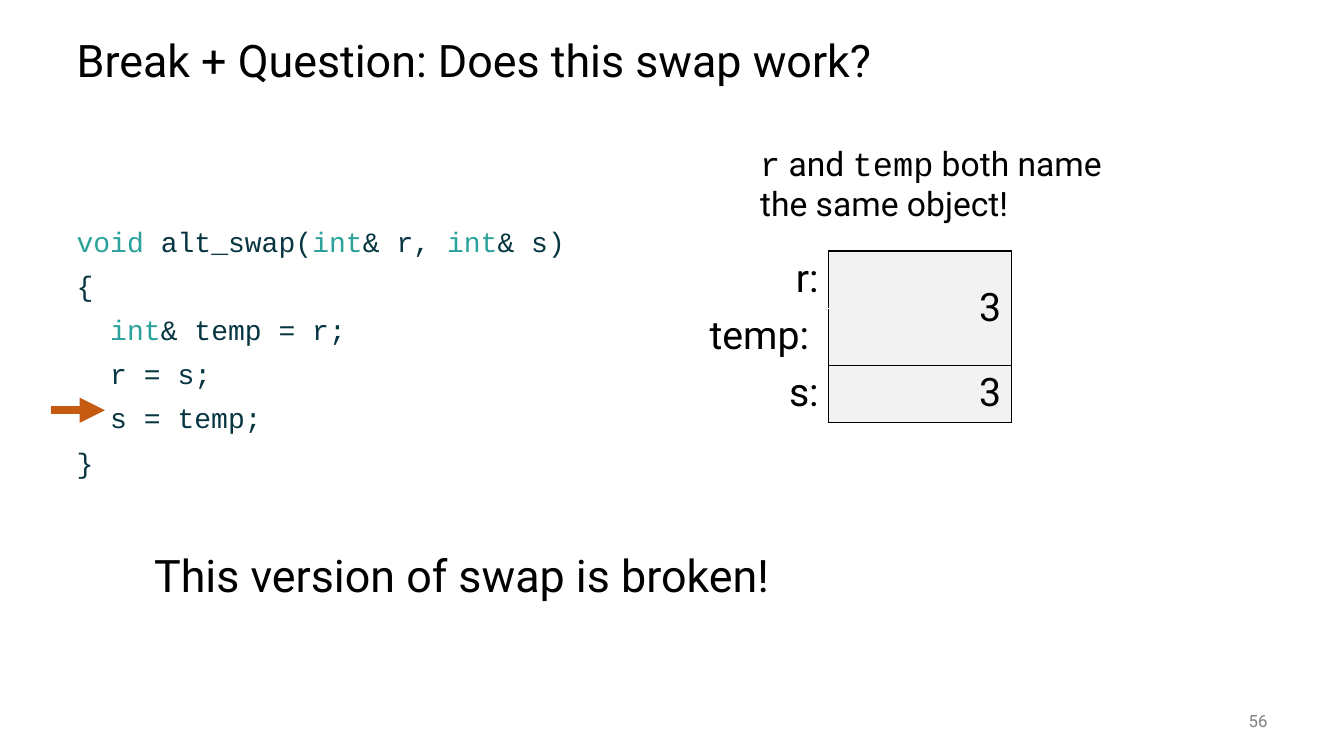
from lxml.etree import SubElement
from pptx import Presentation
from pptx.dml.color import RGBColor
from pptx.enum.shapes import MSO_CONNECTOR
from pptx.enum.text import MSO_ANCHOR, MSO_AUTO_SIZE, PP_ALIGN
from pptx.oxml.ns import qn
from pptx.util import Inches, Pt

COLORS = {
    "text": "000000",
    "keyword": "2AA299",
    "code": "073642",
    "cell": "F2F2F2",
    "arrow": "C55A11",
    "number": "808080",
}
SANS, MONO = "Roboto", "Courier New"

# Each code line is a list of (text, colour) runs
CODE = [
    [("void ", "keyword"), ("alt_swap(", "code"), ("int", "keyword"),
     ("& r, ", "code"), ("int", "keyword"), ("& s)", "code")],
    [("{", "code")],
    [("  int", "keyword"), ("& temp = r;", "code")],
    [("  r = s;", "code")],
    [("  s = temp;", "code")],
    [("}", "code")],
]


def add_run(paragraph, text, size, color="text", font=SANS):
    run = paragraph.add_run()
    run.text = text
    run.font.size = Pt(size)
    run.font.name = font
    run.font.color.rgb = RGBColor.from_string(COLORS[color])


def place(shape, left, top, width, height):
    shape.left, shape.top = Inches(left), Inches(top)
    shape.width, shape.height = Inches(width), Inches(height)


def add_title(slide, text, box):
    title = slide.shapes.title
    place(title, *box)
    title.text_frame.auto_size = MSO_AUTO_SIZE.NONE
    title.text_frame.vertical_anchor = MSO_ANCHOR.MIDDLE
    paragraph = title.text_frame.paragraphs[0]
    paragraph.alignment = PP_ALIGN.LEFT
    paragraph.line_spacing = 0.9
    add_run(paragraph, text, 32)


def add_code(slide, lines, box):
    body = slide.placeholders[1]
    place(body, *box)
    frame = body.text_frame
    frame.auto_size = MSO_AUTO_SIZE.NONE
    for index, line in enumerate(lines):
        paragraph = frame.add_paragraph() if index else frame.paragraphs[0]
        paragraph.line_spacing = 0.9
        paragraph.space_before = Pt(10 if index else 0)
        properties = paragraph._p.get_or_add_pPr()
        properties.set("marL", "0")
        properties.set("indent", "0")
        SubElement(properties, qn("a:buNone"))
        for text, color in line:
            add_run(paragraph, text, 20, color, MONO)


def add_text(slide, runs, size, box, color="text", alignment=PP_ALIGN.LEFT,
             anchor=MSO_ANCHOR.TOP):
    frame = slide.shapes.add_textbox(*map(Inches, box)).text_frame
    frame.word_wrap = True
    frame.vertical_anchor = anchor
    paragraph = frame.paragraphs[0]
    paragraph.alignment = alignment
    for text, font in runs:
        add_run(paragraph, text, size, color, font)


def add_borders(cell, sides):
    properties = cell._tc.get_or_add_tcPr()
    for side in sides:
        line = SubElement(properties, qn(f"a:ln{side}"), w=str(Pt(1)))
        fill = SubElement(line, qn("a:solidFill"))
        SubElement(fill, qn("a:srgbClr"), val=COLORS["text"])


def add_memory(slide, names, values, box):
    table = slide.shapes.add_table(len(names), 2, *map(Inches, box)).table
    table.first_row = table.horz_banding = False
    # r and temp share one object
    table.cell(0, 1).merge(table.cell(1, 1))
    for row, pair in enumerate(zip(names, values)):
        for column, text in enumerate(pair):
            cell = table.cell(row, column)
            add_borders(cell, "LRTB" if column else "R")
            if column:
                cell.fill.solid()
                cell.fill.fore_color.rgb = RGBColor.from_string(COLORS["cell"])
            else:
                cell.fill.background()
            if text:
                paragraph = cell.text_frame.paragraphs[0]
                paragraph.alignment = PP_ALIGN.RIGHT
                add_run(paragraph, text, 28)
    table.cell(0, 1).vertical_anchor = MSO_ANCHOR.MIDDLE


def add_step_arrow(slide, left, middle, width):
    arrow = slide.shapes.add_connector(
        MSO_CONNECTOR.STRAIGHT, Inches(left), Inches(middle),
        Inches(left + width), Inches(middle))
    arrow.line.color.rgb = RGBColor.from_string(COLORS["arrow"])
    arrow.line.width = Pt(6)
    SubElement(arrow.line._get_or_add_ln(), qn("a:tailEnd"), type="triangle")
    SubElement(arrow._element.spPr, qn("a:effectLst"))


def build_question_slide(presentation):
    slide = presentation.slides.add_slide(presentation.slide_layouts[1])
    add_title(slide, "Break + Question: Does this swap work?",
              (0.66, 0.25, 12, 0.75))
    add_code(slide, CODE, (0.66, 2.21, 5.75, 4.54))
    # Slide number
    add_text(slide, [("56", SANS)], 12, (11.67, 6.95, 1, 0.4), "number",
             PP_ALIGN.RIGHT, MSO_ANCHOR.MIDDLE)
    add_memory(slide, ["r:", "temp: ", "s:"], ["3", "", "3"],
               (6.41, 2.49, 3.62, 1.67))
    add_step_arrow(slide, 0.51, 4.07, 0.53)
    # Explanation and verdict
    add_text(slide, [("r", MONO), (" and ", SANS), ("temp", MONO),
                     (" both name the same object!", SANS)],
             24, (7.44, 1.37, 3.62, 0.91))
    add_text(slide, [("This version of swap is broken!", SANS)], 32,
             (1.43, 5.38, 7.56, 0.64))


def main():
    presentation = Presentation()
    presentation.slide_width = Inches(13.33)
    presentation.slide_height = Inches(7.5)
    build_question_slide(presentation)
    presentation.save("out.pptx")


if __name__ == "__main__":
    main()
